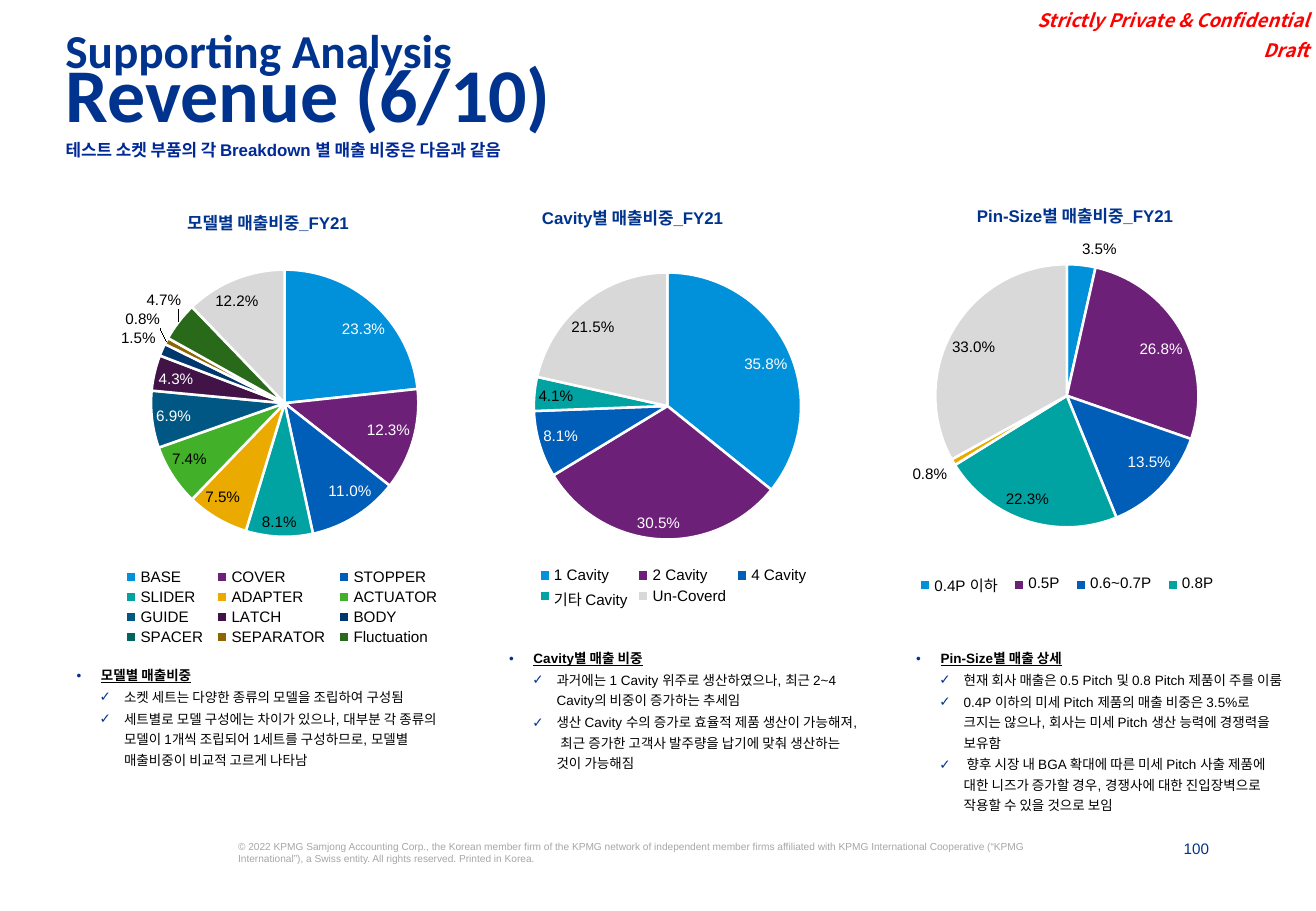
import pptx
import pptx.util
import pptx.chart.data
import pptx.dml.color
import pptx.enum.chart
import pptx.enum.text
import pptx.oxml
import pptx.oxml.ns
import lxml.etree

Inches = pptx.util.Inches
Pt = pptx.util.Pt
qn = pptx.oxml.ns.qn
ALIGN = pptx.enum.text.PP_ALIGN
ANCHOR = pptx.enum.text.MSO_ANCHOR

COLORS = {
    "navy": "00338D", "royal": "002997", "red": "FF0000", "muted": "A6A6A6",
    "black": "000000", "white": "FFFFFF", "sky": "0091DA", "purple": "6D2077",
    "blue": "005EB8", "teal": "00A3A1", "amber": "EAAA00", "green": "43B02A",
    "steel": "005783", "plum": "411347", "ink": "00386E", "pine": "006261",
    "bronze": "8C6600", "forest": "286A19", "gray": "D8D8D8", "silver": "D9D9D9",
}
KOREAN = "Noto Sans CJK KR"
TITLE = "Revenue (6/10)"
SECTION = "Supporting Analysis"
SUBTITLE = "테스트 소켓 부품의 각 Breakdown 별 매출 비중은 다음과 같음"
HEADER = ["Strictly Private & Confidential", "Draft"]
COPYRIGHT = (
    "© 2022 KPMG Samjong Accounting Corp., the Korean member firm of the KPMG network of "
    "independent member firms affiliated with KPMG International Cooperative (“KPMG "
    "International”), a Swiss entity. All rights reserved. Printed in Korea."
)
PAGE = "100"

PANELS = [
    {
        "heading": "모델별 매출비중_FY21", "heading_at": (1.48, 1.69),
        "chart_at": (-0.12, 1.62, 4.52, 4),
        "plot": (0.3, 0.15, 0.49, 0.55), "legend": (0.24, 0.76, 0.6, 0.17),
        "slices": [
            ("BASE", 0.233, "sky"), ("COVER", 0.123, "purple"), ("STOPPER", 0.11, "blue"),
            ("SLIDER", 0.081, "teal"), ("ADAPTER", 0.075, "amber"), ("ACTUATOR", 0.074, "green"),
            ("GUIDE", 0.069, "steel"), ("LATCH", 0.043, "plum"), ("BODY", 0.015, "ink"),
            ("SPACER", 0, "pine"), ("SEPARATOR", 0.008, "bronze"),
            ("Fluctuation", 0.047, "forest"), ("기타", 0.122, "gray"),
        ],
        "white_labels": [0, 1, 2, 6, 7], "unlisted": [12],
        "notes_at": (0.59, 5.34, 3.14, 1.27), "notes_title": "모델별 매출비중",
        "notes": [
            "소켓 세트는 다양한 종류의 모델을 조립하여 구성됨",
            "세트별로 모델 구성에는 차이가 있으나, 대부분 각 종류의 모델이 1개씩 조립되어 "
            "1세트를 구성하므로, 모델별 매출비중이 비교적 고르게 나타남",
        ],
    },
    {
        "heading": "Cavity별 매출비중_FY21", "heading_at": (4.4, 1.65),
        "chart_at": (2.96, 1.6, 4.78, 4.47),
        "plot": (0.3, 0.14, 0.46, 0.5), "legend": (0.3, 0.68, 0.48, 0.09),
        "slices": [
            ("1 Cavity", 0.358, "sky"), ("2 Cavity", 0.305, "purple"), ("4 Cavity", 0.081, "blue"),
            ("기타 Cavity", 0.041, "teal"), ("Un-Coverd", 0.215, "gray"),
        ],
        "white_labels": [0, 1, 2], "unlisted": [],
        "notes_at": (4.15, 5.2, 2.92, 1.35), "notes_title": "Cavity별 매출 비중",
        "notes": [
            "과거에는 1 Cavity 위주로 생산하였으나, 최근 2~4 Cavity의 비중이 증가하는 추세임",
            "생산 Cavity 수의 증가로 효율적 제품 생산이 가능해져, 최근 증가한 고객사 "
            "발주량을 납기에 맞춰 생산하는 것이 가능해짐",
        ],
    },
    {
        "heading": "Pin-Size별 매출비중_FY21", "heading_at": (7.98, 1.63),
        "chart_at": (6.18, 1.91, 5, 3.8),
        "plot": (0.3, 0.07, 0.44, 0.57), "legend": (0.26, 0.73, 0.52, 0.07),
        "slices": [
            ("0.4P 이하", 0.035, "sky"), ("0.5P", 0.268, "purple"), ("0.6~0.7P", 0.135, "blue"),
            ("0.8P", 0.223, "teal"), ("0.9~1.0P", 0.008, "amber"), ("Un-Covered", 0.33, "silver"),
        ],
        "white_labels": [1, 2], "unlisted": [4, 5],
        "notes_at": (7.5, 5.2, 3.12, 1.47), "notes_title": "Pin-Size별 매출 상세",
        "notes": [
            "현재 회사 매출은 0.5 Pitch 및 0.8 Pitch 제품이 주를 이룸",
            "0.4P 이하의 미세 Pitch 제품의 매출 비중은 3.5%로 크지는 않으나, "
            "회사는 미세 Pitch 생산 능력에 경쟁력을 보유함",
            " 향후 시장 내 BGA 확대에 따른 미세 Pitch 사출 제품에 대한 니즈가 증가할 경우, "
            "경쟁사에 대한 진입장벽으로 작용할 수 있을 것으로 보임",
        ],
    },
]


def rgb(name):
    return pptx.dml.color.RGBColor.from_string(COLORS[name])


def add_xml(parent, tag, **attrs):
    return lxml.etree.SubElement(parent, qn(tag), attrs)


def frame(sp, at, insets=(0, 0, 0, 0), wrap=True, anchor=ANCHOR.TOP):
    sp.left, sp.top, sp.width, sp.height = map(Inches, at)
    tf = sp.text_frame
    tf.auto_size = pptx.enum.text.MSO_AUTO_SIZE.NONE
    tf.word_wrap, tf.vertical_anchor = wrap, anchor
    tf.margin_left, tf.margin_top, tf.margin_right, tf.margin_bottom = map(Inches, insets)
    return tf


def add_text(p, text, size, color, bold=False, italic=False, underline=False,
             name="Arial", align=ALIGN.LEFT, before=0, after=0, spacing=1.0):
    p.alignment, p.line_spacing = align, spacing
    p.space_before, p.space_after = Pt(before), Pt(after)
    r = p.add_run()
    r.text = text
    f = r.font
    f.name, f.size, f.bold, f.italic, f.underline = name, Pt(size), bold, italic, underline
    f.color.rgb = rgb(color)
    r.font._element.find(qn("a:latin")).addnext(
        lxml.etree.Element(qn("a:ea"), typeface=KOREAN))


def add_bullet(p, mark, margin):
    ppr = p._p.get_or_add_pPr()
    ppr.set("marL", str(Inches(margin)))
    ppr.set("indent", str(-Inches(0.2)))
    add_xml(add_xml(ppr, "a:buClr"), "a:srgbClr", val=COLORS["navy"])
    add_xml(ppr, "a:buFont", typeface="Arial")
    add_xml(ppr, "a:buChar", char=mark)
    add_xml(add_xml(ppr, "a:tabLst"), "a:tab", pos=str(Inches(0.2)), algn="l")


def fill_notes(sp, panel):
    tf = frame(sp, panel["notes_at"], (0.04, 0.12, 0.04, 0.04))
    p = tf.paragraphs[0]
    add_bullet(p, "•", 0.2)
    add_text(p, panel["notes_title"], 8, "black", bold=True, underline=True, spacing=Pt(12))
    for note in panel["notes"]:
        p = tf.add_paragraph()
        add_bullet(p, "✓", 0.39)
        add_text(p, note, 8, "black", before=1, spacing=Pt(12))


def make_layout(box, inner=False):
    layout = lxml.etree.Element(qn("c:layout"))
    manual = add_xml(layout, "c:manualLayout")
    if inner:
        add_xml(manual, "c:layoutTarget", val="inner")
    for tag in ("c:xMode", "c:yMode"):
        add_xml(manual, tag, val="edge")
    for tag, value in zip("xywh", box):
        add_xml(manual, "c:" + tag, val=str(value))
    return layout


def drop_layout(element):
    for old in element.findall(qn("c:layout")):
        element.remove(old)


def style_font(font, color="black"):
    font.name, font.size = "Arial", Pt(9)
    font.color.rgb = rgb(color)


def add_pie(slide, panel):
    names, values, fills = zip(*panel["slices"])
    data = pptx.chart.data.CategoryChartData(number_format="0.0%")
    data.categories = names
    data.add_series("Series 1", values)
    chart = slide.shapes.add_chart(
        pptx.enum.chart.XL_CHART_TYPE.PIE, *map(Inches, panel["chart_at"]), data).chart
    chart.has_title = False
    style_font(chart.font)
    plot = chart.plots[0]
    plot.vary_by_categories = True
    series = plot.series[0]
    best_fit = pptx.enum.chart.XL_LABEL_POSITION.BEST_FIT
    labels = series.data_labels
    labels.show_value = True
    labels.number_format, labels.number_format_is_linked = "0.0%", False
    labels.position = best_fit
    style_font(labels.font)
    for i, color in enumerate(fills):
        point = series.points[i]
        point.format.fill.solid()
        point.format.fill.fore_color.rgb = rgb(color)
        point.format.line.color.rgb = rgb("white")
        point.format.line.width = Pt(1.5)
        if i in panel["white_labels"]:
            style_font(point.data_label.font, "white")
            point.data_label.position = best_fit
    area = chart._chartSpace.chart.plotArea
    drop_layout(area)
    area.insert(0, make_layout(panel["plot"], inner=True))
    chart.has_legend = True
    legend = chart.legend
    legend.position = pptx.enum.chart.XL_LEGEND_POSITION.BOTTOM
    legend.include_in_layout = False
    style_font(legend.font)
    drop_layout(legend._element)
    anchor = legend._element.find(qn("c:legendPos"))
    anchor.addnext(make_layout(panel["legend"]))
    for i in reversed(panel["unlisted"]):
        entry = lxml.etree.Element(qn("c:legendEntry"))
        add_xml(entry, "c:idx", val=str(i))
        add_xml(entry, "c:delete", val="1")
        anchor.addnext(entry)


def main():
    prs = pptx.Presentation()
    prs.slide_width, prs.slide_height = Inches(10.83), Inches(7.5)
    s = prs.slides.add_slide(prs.slide_layouts[4])

    def text_box(at, *args, **kwargs):
        return frame(s.shapes.add_textbox(*map(Inches, at)), at, *args, **kwargs)

    inset = (0.1, 0.05, 0.1, 0.05)
    tf = frame(s.shapes.title, (0.44, 0.54, 9.4, 0.64), inset)
    add_text(tf.paragraphs[0], TITLE, 45, "navy", bold=True, name="Calibri", spacing=0.7)
    tf = text_box((0.44, 0.25, 9.4, 0.3), inset)
    add_text(tf.paragraphs[0], SECTION, 28, "navy", bold=True, name="Calibri", spacing=0.7)
    subtitle, *notes = [s.placeholders[i] for i in (1, 2, 3, 4)]
    tf = frame(subtitle, (0.54, 1.15, 9.63, 0.48))
    add_text(tf.paragraphs[0], SUBTITLE, 10, "royal", bold=True)

    for sp, panel in zip(notes, PANELS):
        add_pie(s, panel)
        tf = text_box((*panel["heading_at"], 1.71, 0.24), (0.06,) * 4, wrap=False)
        add_text(tf.paragraphs[0], panel["heading"], 10, "navy", bold=True, after=6)
        fill_notes(sp, panel)

    tf = text_box((8.32, -0.01, 2.5, 0.55), (0, 0.04, 0.04, 0.04), anchor=ANCHOR.BOTTOM)
    for i, line in enumerate(HEADER):
        p = tf.add_paragraph() if i else tf.paragraphs[0]
        add_text(p, line, 11, "red", bold=True, italic=True, name=KOREAN,
                 align=ALIGN.RIGHT, before=4 * i)
    tf = text_box((1.96, 6.92, 6.53, 0.5))
    add_text(tf.paragraphs[0], COPYRIGHT, 6, "muted")
    tf = text_box((9.52, 6.91, 0.43, 0.16))
    add_text(tf.paragraphs[0], PAGE, 9, "navy", align=ALIGN.RIGHT)
    prs.save("out.pptx")


if __name__ == "__main__":
    main()
